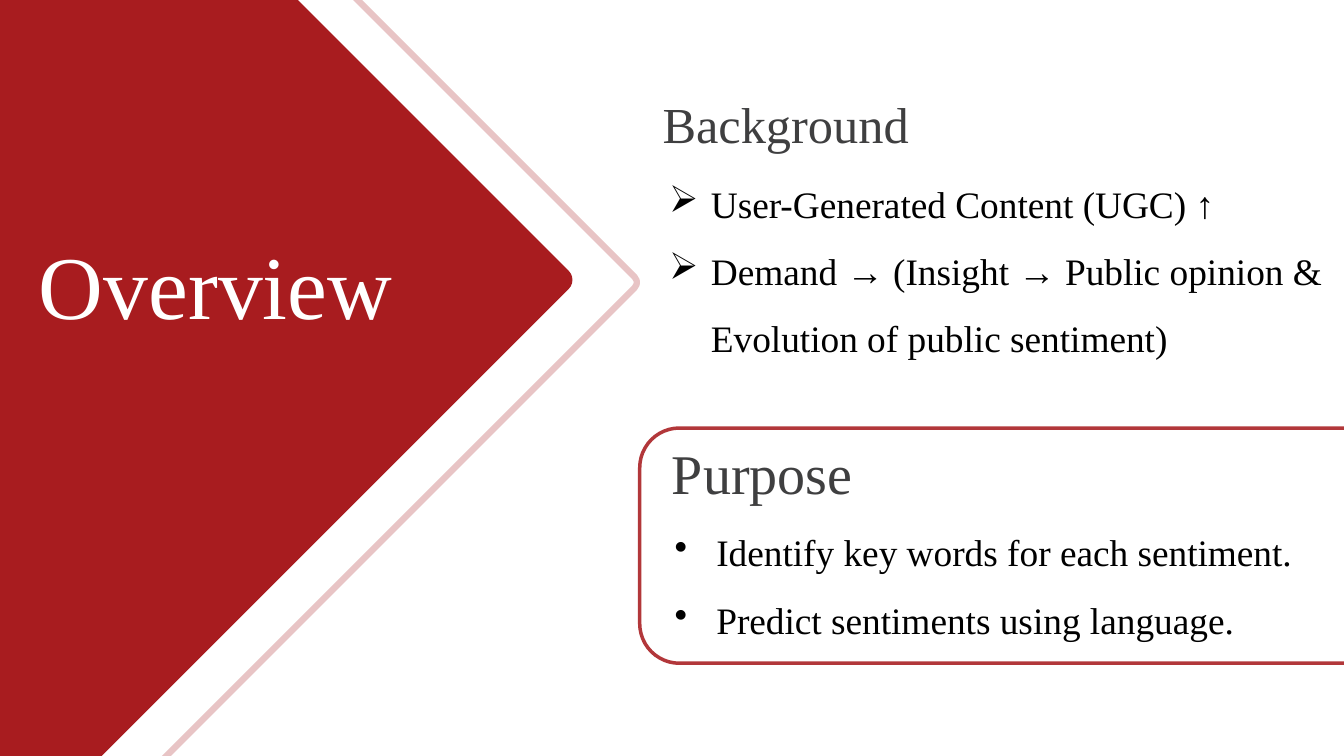
from dataclasses import dataclass

from lxml import etree
from pptx import Presentation
from pptx.dml.color import RGBColor
from pptx.enum.shapes import MSO_SHAPE
from pptx.enum.text import MSO_ANCHOR, MSO_AUTO_SIZE, PP_ALIGN
from pptx.oxml.ns import qn
from pptx.util import Inches, Pt

ROUND = MSO_SHAPE.ROUNDED_RECTANGLE
LEFT = PP_ALIGN.LEFT
TOP = MSO_ANCHOR.TOP
GROW = MSO_AUTO_SIZE.SHAPE_TO_FIT_TEXT
TITLE_ONLY = 5


@dataclass(frozen=True)
class Theme:
    font: str = "Times New Roman"
    red: RGBColor = RGBColor(0xA8, 0x1C, 0x1F)
    white: RGBColor = RGBColor(0xFF, 0xFF, 0xFF)
    grey: RGBColor = RGBColor(0x3F, 0x3F, 0x40)
    black: RGBColor = RGBColor(0, 0, 0)
    title: int = 96
    body: int = 40


THEME = Theme()


def place(item, box):
    for name, value in zip(("left", "top", "width", "height"), box):
        setattr(item, name, Inches(value))


def set_alpha(fill, percent):
    color = fill._xPr.find(qn("a:solidFill"))[0]
    etree.SubElement(color, qn("a:alpha"), val=str(percent * 1000))


def add_panel(slide, box, radius, turn=0, fill=None, line=None, alpha=100):
    """Add a rounded box; line is its width in points, radius is in inches."""
    panel = slide.shapes.add_shape(ROUND, *map(Inches, box))
    panel.shadow.inherit = False
    panel.rotation = turn
    panel.adjustments[0] = radius / min(box[2:])
    if fill is None:
        panel.fill.background()
    else:
        panel.fill.solid()
        panel.fill.fore_color.rgb = fill
        set_alpha(panel.fill, alpha)
    if line is None:
        panel.line.fill.background()
    else:
        panel.line.width = Pt(line)
        panel.line.color.rgb = THEME.red
        set_alpha(panel.line.fill, alpha)


def set_frame(frame, inset):
    sides = ("left", "right", "top", "bottom")
    form = {f"margin_{side}": 0 for side in sides} if inset == 0 else {}
    form |= {"word_wrap": True, "auto_size": GROW, "vertical_anchor": TOP}
    for name, value in form.items():
        setattr(frame, name, value)


def write(para, text, size, color, space):
    run = para.add_run()
    run.text = text
    para.alignment = LEFT
    para.line_spacing = space
    form = {"name": THEME.font, "size": Pt(size), "bold": False}
    for name, value in form.items():
        setattr(run.font, name, value)
    run.font.color.rgb = color


def add_title(slide, box, text):
    title = slide.shapes.title
    slide.shapes._spTree.append(title._element)  # bring to the front
    place(title, box)
    set_frame(title.text_frame, 0)
    write(title.text_frame.paragraphs[0], text, THEME.title, THEME.white,
          Pt(130.2))


def add_head(slide, box, text, size):
    frame = slide.shapes.add_textbox(*map(Inches, box)).text_frame
    set_frame(frame, 0)
    write(frame.paragraphs[0], text, size, THEME.grey, Pt(58.8))


def add_list(slide, box, mark, lines):
    frame = slide.shapes.add_textbox(*map(Inches, box)).text_frame
    set_frame(frame, None)
    indent = Inches(0.62)
    for i, line in enumerate(lines):
        para = frame.add_paragraph() if i else frame.paragraphs[0]
        write(para, line, THEME.body, THEME.black, 1.5)
        props = para._p.get_or_add_pPr()
        props.set("marL", str(indent))
        props.set("indent", str(-indent))
        etree.SubElement(props, qn("a:buChar"), char=mark)


def add_overview(slide):
    add_panel(slide, (-11.51, -4.51, 18.52, 14.78), 0.11, turn=45,
              line=6.75, alpha=25)
    add_panel(slide, (-5.2, -1.55, 11.02, 12.42), 0.19, turn=45,
              fill=THEME.red)
    add_title(slide, (0.58, 3.21, 6.66, 1.68), "Overview")


def add_purpose(slide, box):
    x, y, _, _ = box
    add_panel(slide, box, 0.59, fill=THEME.white, line=3.75, alpha=87)
    add_head(slide, (x + 0.48, y + 0.34, 5.94, 0.83), "Purpose", 60)
    add_list(slide, (x + 0.42, y + 1.13, 12.58, 2), "•", [
        "Identify key words for each sentiment.",
        "Predict sentiments using language.",
    ])


def add_background(slide, box):
    x, y, width, height = box
    add_head(slide, (x, y, 5.94, 0.83), "Background", 54)
    add_list(slide, (x, y + 0.84, width, height - 0.84), "➢", [
        "User-Generated Content (UGC) ↑",
        "Demand → (Insight → Public opinion & Evolution of public sentiment)",
    ])


def main():
    deck = Presentation()
    deck.slide_width, deck.slide_height = Inches(20), Inches(11.25)
    slide = deck.slides.add_slide(deck.slide_layouts[TITLE_ONLY])
    add_overview(slide)
    add_purpose(slide, (9.52, 6.37, 17.67, 3.5))
    add_background(slide, (9.86, 1.47, 10.29, 3.85))
    deck.save("out.pptx")


if __name__ == "__main__":
    main()
